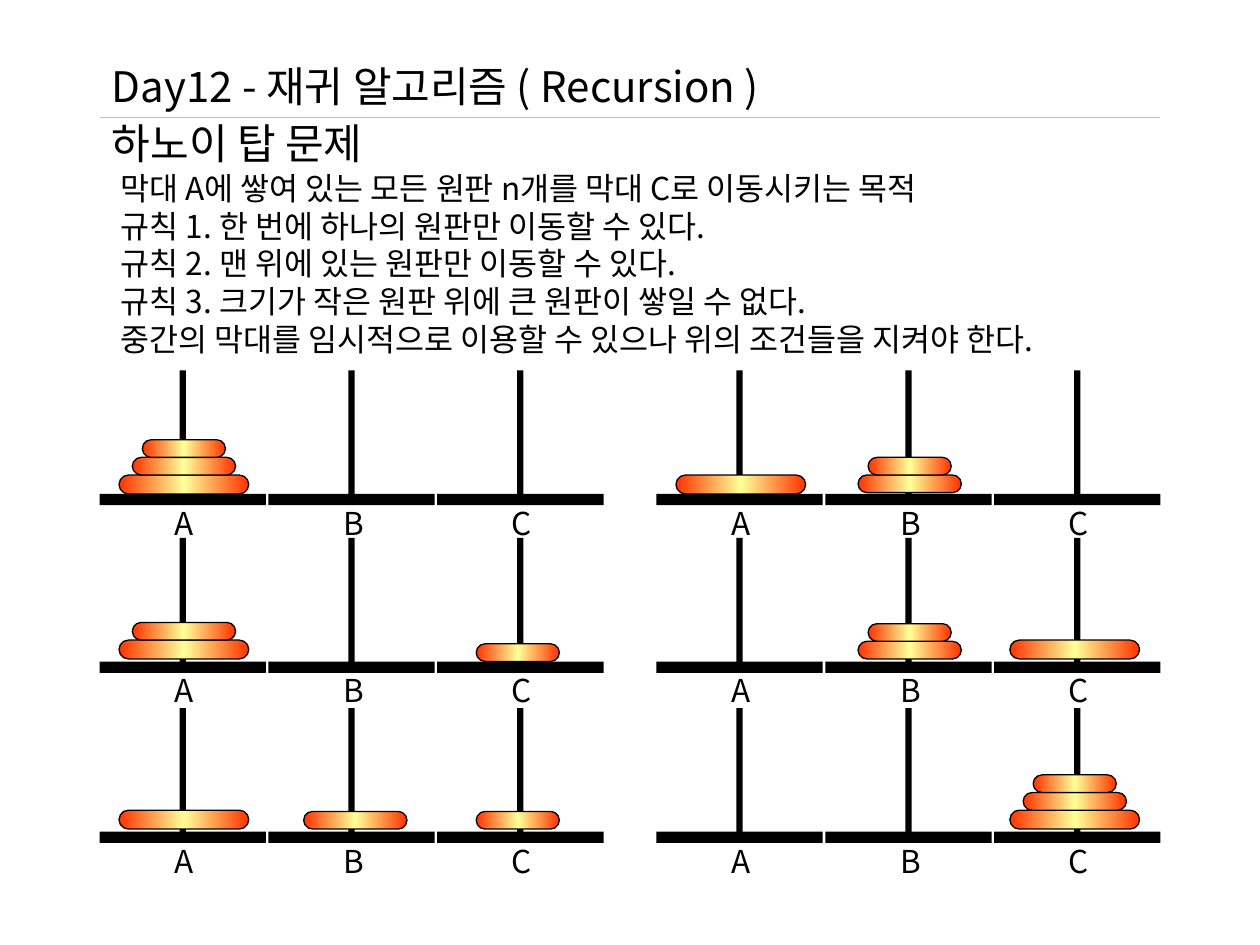
from copy import deepcopy

from lxml import etree
from pptx import Presentation
from pptx.dml.color import RGBColor
from pptx.enum import shapes, text
from pptx.oxml import ns
from pptx.util import Inches, Pt

BLACK = RGBColor(0x00, 0x00, 0x00)
GRAY = RGBColor(0xBF, 0xBF, 0xBF)
ORANGE = RGBColor(0xFF, 0x33, 0x00)
YELLOW = RGBColor(0xFF, 0xFF, 0x99)
FONT = "Noto Sans CJK KR"


def add_text(parent, left, top, width, height, lines, sizes, wrap=True):
    box = parent.add_textbox(Inches(left), Inches(top), Inches(width), Inches(height))
    frame = box.text_frame
    frame.text = "\n".join(lines)
    frame.word_wrap = wrap
    frame.auto_size = text.MSO_AUTO_SIZE.SHAPE_TO_FIT_TEXT
    for paragraph, size in zip(frame.paragraphs, sizes):
        font = paragraph.runs[0].font
        font.name, font.size, font.color.rgb = FONT, Pt(size), BLACK
    return frame


def add_block(parent, kind, left, top, width, height):
    shape = parent.add_shape(kind, Inches(left), Inches(top), Inches(width), Inches(height))
    shape.shadow.inherit = False
    shape.fill.solid()
    shape.fill.fore_color.rgb = BLACK
    shape.line.fill.background()
    return shape


presentation = Presentation()
presentation.slide_width, presentation.slide_height = Inches(10), Inches(7.5)
slide = presentation.slides.add_slide(presentation.slide_layouts[6])

# Title and rule below it
add_text(slide.shapes, 0.79, 0.43, 8.43, 0.5, ["Day12 - 재귀 알고리즘 ( Recursion )"], [24])
rule = slide.shapes.add_connector(
    shapes.MSO_CONNECTOR.STRAIGHT, Inches(0.79), Inches(0.93), Inches(9.21), Inches(0.93))
rule.line.color.rgb = GRAY
rule.line.width = Pt(0.75)
etree.SubElement(rule._element.spPr, ns.qn("a:effectLst"))

# Problem statement
statement = [
    "하노이 탑 문제",
    "막대 A에 쌓여 있는 모든 원판 n개를 막대 C로 이동시키는 목적",
    "규칙 1. 한 번에 하나의 원판만 이동할 수 있다.",
    "규칙 2. 맨 위에 있는 원판만 이동할 수 있다.",
    "규칙 3. 크기가 작은 원판 위에 큰 원판이 쌓일 수 없다.",
    "중간의 막대를 임시적으로 이용할 수 있으나 위의 조건들을 지켜야 한다.",
]
frame = add_text(slide.shapes, 0.79, 0.93, 8.43, 1.98, statement, [24] + [18] * 5)
frame.paragraphs[0].line_spacing = 0.9
for paragraph in frame.paragraphs[1:]:
    paragraph._p.get_or_add_pPr().set("marL", str(Inches(0.07)))

# Six states of the towers: left edge, base top, and stacks given as
# (disk centre, top of the lowest disk, disks from the bottom up)
DISKS = {"large": (1.03, 0.15), "medium": (0.82, 0.14), "small": (0.66, 0.14)}
DISK_STEP = 0.14
PEG_STEP = 1.34
BASE_WIDTH = 1.32
POST_WIDTH = 0.05
states = [
    (0.79, 3.92, [(1.46, 3.77, ["large", "medium", "small"])]),
    (0.79, 5.25, [(1.46, 5.08, ["large", "medium"]), (4.11, 5.11, ["small"])]),
    (0.79, 6.6, [(1.46, 6.43, ["large"]), (2.82, 6.44, ["medium"]), (4.11, 6.44, ["small"])]),
    (5.21, 3.92, [(5.88, 3.77, ["large"]), (7.22, 3.77, ["medium", "small"])]),
    (5.21, 5.25, [(7.22, 5.09, ["medium", "small"]), (8.53, 5.08, ["large"])]),
    (5.21, 6.6, [(8.53, 6.43, ["large", "medium", "small"])]),
]
for left, base_top, stacks in states:
    group = slide.shapes.add_group_shape().shapes

    # Bases, posts and peg names
    for index, (name, label_width) in enumerate([("A", 0.38), ("B", 0.35), ("C", 0.38)]):
        base_left = left + index * PEG_STEP
        centre = base_left + BASE_WIDTH / 2
        add_block(group, shapes.MSO_SHAPE.RECTANGLE, base_left, base_top, BASE_WIDTH, 0.09)
        add_block(group, shapes.MSO_SHAPE.RECTANGLE,
                  centre - POST_WIDTH / 2, base_top - 0.98, POST_WIDTH, 1.03)
        label = add_text(group, centre + 0.01 - label_width / 2, base_top + 0.03,
                         label_width, 0.44, [name], [18], wrap=False)
        label.paragraphs[0].alignment = text.PP_ALIGN.CENTER

    # Disks
    for centre, lowest_top, sizes in stacks:
        for level, size in enumerate(sizes):
            width, height = DISKS[size]
            disk = add_block(group, shapes.MSO_SHAPE.ROUNDED_RECTANGLE, centre - width / 2,
                             lowest_top - level * DISK_STEP, width, height)
            disk.adjustments[0] = 0.5
            disk.line.color.rgb = BLACK
            disk.line.width = Pt(0.75)
            disk.fill.gradient()
            disk.fill.gradient_angle = 0
            first, middle = disk.fill.gradient_stops
            first.color.rgb, first.position = ORANGE, 0
            middle.color.rgb, middle.position = YELLOW, 0.5
            stop_list = disk._element.spPr.find(".//" + ns.qn("a:gsLst"))
            last = deepcopy(stop_list[0])
            last.set("pos", "100000")
            stop_list.append(last)

presentation.save("out.pptx")
